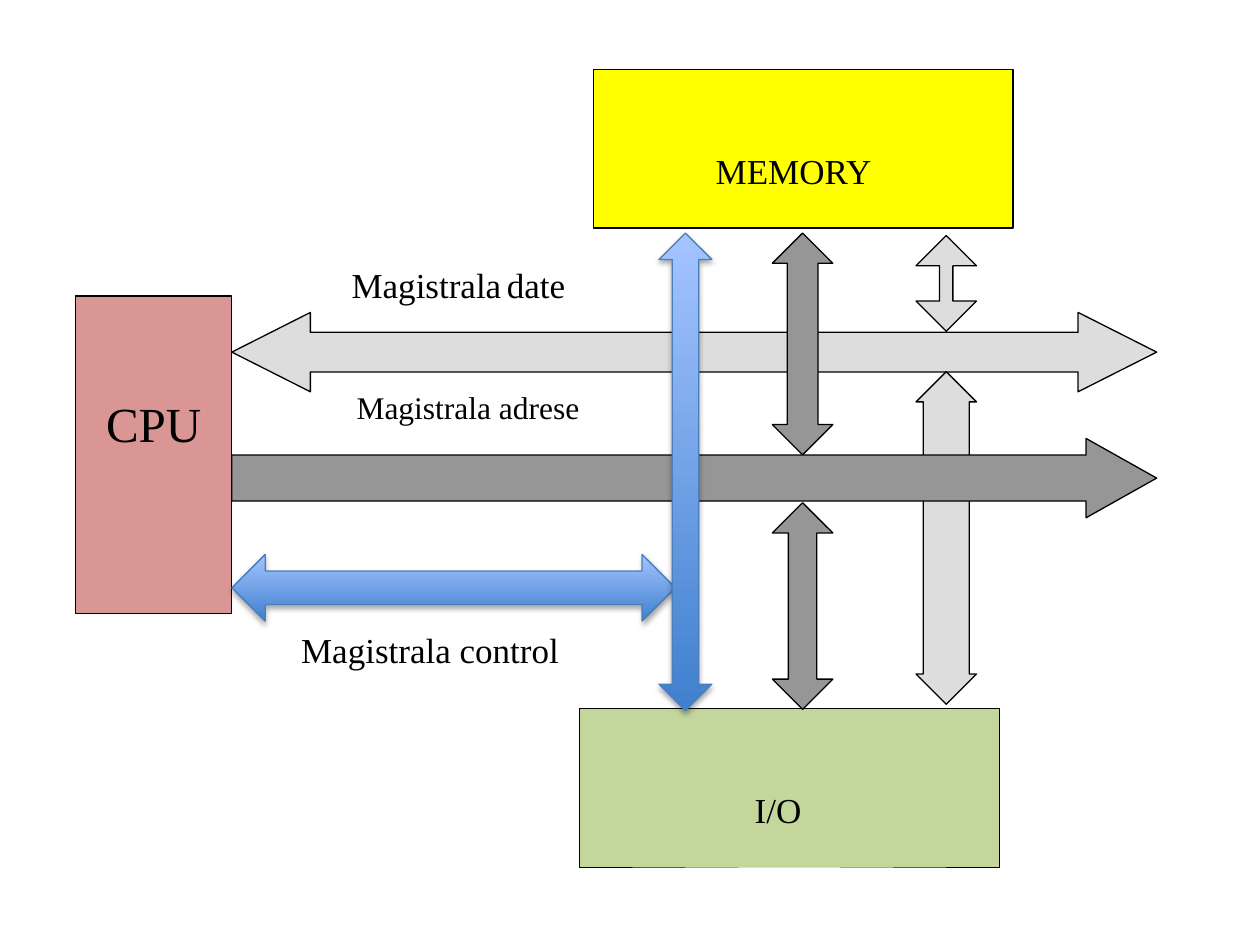
from lxml import etree
from pptx import Presentation
from pptx.dml.color import RGBColor
from pptx.enum.shapes import MSO_SHAPE
from pptx.enum.text import MSO_ANCHOR, PP_ALIGN
from pptx.oxml.ns import qn
from pptx.util import Inches, Pt

RECTANGLE = MSO_SHAPE.RECTANGLE
HORIZONTAL = MSO_SHAPE.LEFT_RIGHT_ARROW
VERTICAL = MSO_SHAPE.UP_DOWN_ARROW
RIGHT = MSO_SHAPE.RIGHT_ARROW
LEFT_ALIGN, CENTER = PP_ALIGN.LEFT, PP_ALIGN.CENTER

BLACK = RGBColor(0x00, 0x00, 0x00)
PINK = RGBColor(0xD9, 0x96, 0x94)
YELLOW = RGBColor(0xFF, 0xFF, 0x00)
GREEN = RGBColor(0xC3, 0xD6, 0x9B)
LIGHT_GREY = RGBColor(0xDD, 0xDD, 0xDD)
DARK_GREY = RGBColor(0x96, 0x96, 0x96)
DEEP_BLUE = RGBColor(0x3F, 0x80, 0xCE)
PALE_BLUE = RGBColor(0xA4, 0xC4, 0xFF)
BLUE_LINE = RGBColor(0x4B, 0x7E, 0xBC)

presentation = Presentation()
presentation.slide_width, presentation.slide_height = Inches(10), Inches(7.5)
slide = presentation.slides.add_slide(presentation.slide_layouts[6])

# Grid of 100 columns by 75 rows
COLUMN = presentation.slide_width / 100
ROW = presentation.slide_height / 75
CPU_RIGHT = 18.4
BUS_WIDTH, BUS_HEIGHT = 73.4, 6.3
DATA_LEFT, ADDRESS_LEFT, BRANCH_WIDTH = 72.7, 61.3, 4.8


def add_block(kind, left, top, width, height, color=None, line_width=0.75, adjustments=()):
    shape = slide.shapes.add_shape(kind, int(left * COLUMN), int(top * ROW),
                                   int(width * COLUMN), int(height * ROW))
    shape.shadow.inherit = False
    for index, value in enumerate(adjustments):
        shape.adjustments[index] = value
    if color is not None:
        shape.fill.solid()
        shape.fill.fore_color.rgb = color
    shape.line.color.rgb = BLACK
    shape.line.width = Pt(line_width)
    return shape


def write(shape, runs, align=LEFT_ALIGN, indent=0, drop=0):
    """Write (text, size) runs, moved in by columns and down by rows."""
    frame = shape.text_frame
    frame.word_wrap = True
    frame.vertical_anchor = MSO_ANCHOR.TOP
    frame.margin_left, frame.margin_top = int(indent * COLUMN), int(drop * ROW)
    frame.margin_right = frame.margin_bottom = 0
    paragraph = frame.paragraphs[0]
    paragraph.alignment = align
    for text, size in runs:
        run = paragraph.add_run()
        run.text = text
        run.font.name = "Times New Roman"
        run.font.size = Pt(size)
        run.font.color.rgb = BLACK


# Units: CPU, memory and input/output
cpu = add_block(RECTANGLE, 6, 23.5, 12.4, 25.2, PINK)
write(cpu, [("CPU", 28)], align=CENTER, drop=7.7)
memory = add_block(RECTANGLE, 47.1, 5.5, 33.3, 12.6, YELLOW)
write(memory, [("MEMORY", 20)], indent=9.7, drop=6.4)
input_output = add_block(RECTANGLE, 46, 56.2, 33.3, 12.6, GREEN, line_width=0.25)
write(input_output, [("I/O", 20)], indent=13.9, drop=6.4)

# Data and address buses with their branches, back to front
for kind, left, top, width, height, color, adjustments in (
    (HORIZONTAL, CPU_RIGHT, 24.8, BUS_WIDTH, BUS_HEIGHT, LIGHT_GREY, (0.5, 0.99)),
    (VERTICAL, DATA_LEFT, 29.5, BRANCH_WIDTH, 26.4, LIGHT_GREY, (0.5, 0.76)),
    (VERTICAL, DATA_LEFT, 18.7, BRANCH_WIDTH, 7.6, LIGHT_GREY, (0.5, 0.22)),
    (RIGHT, CPU_RIGHT, 34.8, BUS_WIDTH, BUS_HEIGHT, DARK_GREY, (0.58, 0.89)),
    (VERTICAL, ADDRESS_LEFT, 39.9, BRANCH_WIDTH, 16.4, DARK_GREY, (0.5, 0.47)),
    (VERTICAL, ADDRESS_LEFT, 18.5, BRANCH_WIDTH, 17.6, DARK_GREY, (0.5, 0.51)),
):
    add_block(kind, left, top, width, height, color, adjustments=adjustments)

# Bus labels
for left, top, width, height, runs in (
    (27.9, 20.9, 19.1, 5.3, [("Magistrala", 20), (" ", 12), ("date", 20)]),
    (28.3, 30.8, 22.5, 5.3, [("Magistrala adrese", 18)]),
    (23.9, 49.9, 24, 5.6, [("Magistrala control", 20)]),
):
    label = slide.shapes.add_textbox(int(left * COLUMN), int(top * ROW),
                                     int(width * COLUMN), int(height * ROW))
    write(label, runs)

# Control bus: blue gradient arrows with a soft shadow
for kind, left, top, width, height in (
    (HORIZONTAL, CPU_RIGHT, 44, 35.2, 5.3),
    (VERTICAL, 52.3, 18.5, 4.2, 37.9),
):
    arrow = add_block(kind, left, top, width, height)
    arrow.line.color.rgb = BLUE_LINE
    arrow.fill.gradient()
    arrow.fill.gradient_angle = 90
    for stop, color, position in zip(arrow.fill.gradient_stops, (DEEP_BLUE, PALE_BLUE), (0, 1)):
        stop.color.rgb = color
        stop.position = position
    effects = arrow._element.spPr.find(qn("a:effectLst"))
    shadow = etree.SubElement(effects, qn("a:outerShdw"), blurRad=str(Pt(3.1)),
                              dist=str(Pt(1.8)), dir="5400000", rotWithShape="0")
    shadow_color = etree.SubElement(shadow, qn("a:srgbClr"), val=str(BLACK))
    etree.SubElement(shadow_color, qn("a:alpha"), val="35000")

presentation.save("out.pptx")
